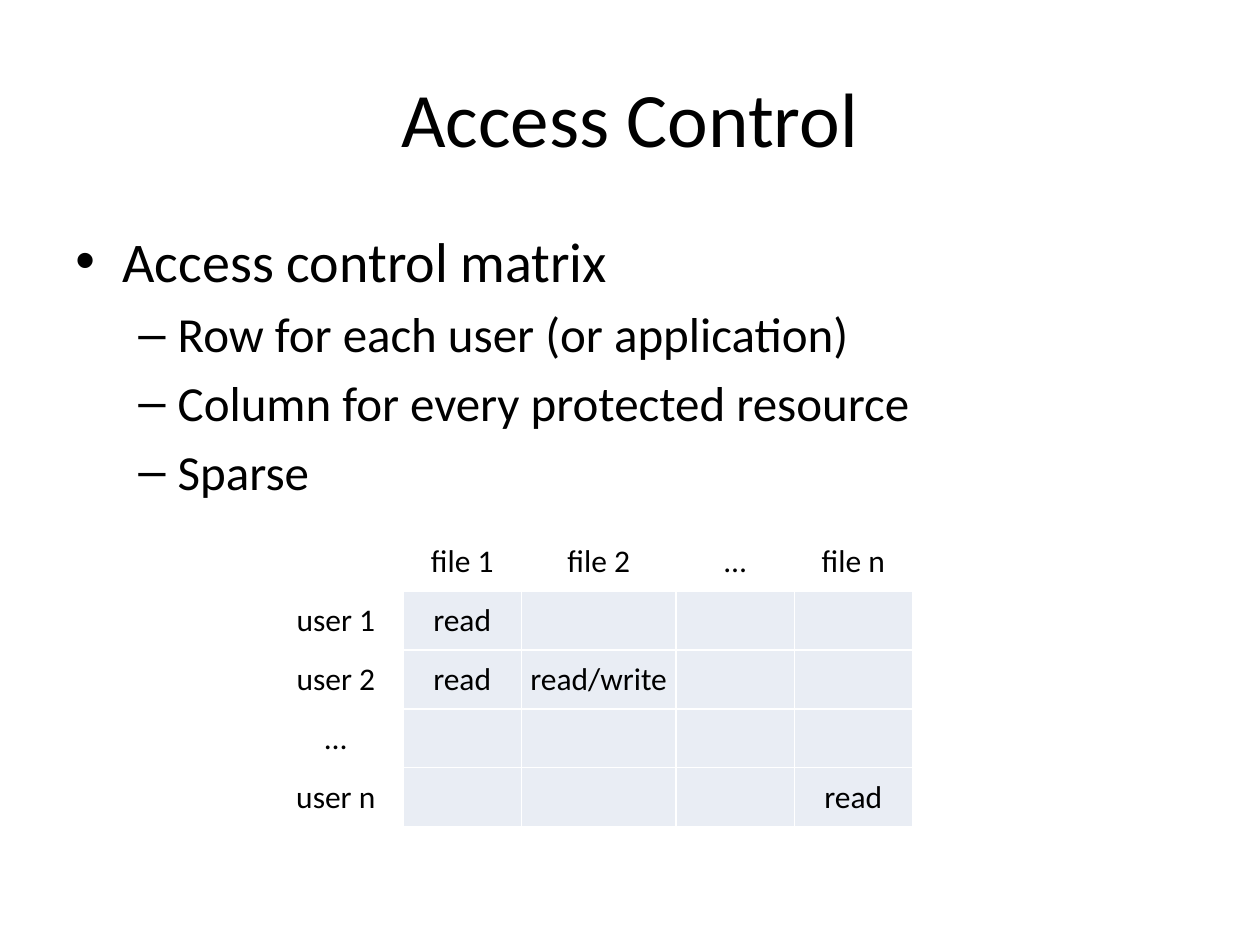
"""Build the Access Control slide with its bullets and matrix."""
from lxml import etree
from pptx import Presentation
from pptx.dml.color import RGBColor
from pptx.enum.text import MSO_ANCHOR, PP_ALIGN
from pptx.oxml.ns import qn
from pptx.util import Pt

MIDDLE = MSO_ANCHOR.MIDDLE
CENTER = PP_ALIGN.CENTER
COLORS = {"text": "000000", "cell": "E9EDF4", "line": "FFFFFF"}


def add_run(para, text, size):
    run = para.add_run()
    run.text = text
    run.font.name = "Calibri"
    run.font.size = Pt(size)
    run.font.color.rgb = RGBColor.from_string(COLORS["text"])


prs = Presentation()
prs.slide_width, prs.slide_height = Pt(720), Pt(540)
slide = prs.slides.add_slide(prs.slide_layouts[6])

title = slide.shapes.add_textbox(Pt(36), Pt(21.6), Pt(648), Pt(90)).text_frame
title.word_wrap = True
title.vertical_anchor = MIDDLE
para = title.paragraphs[0]
para.alignment = CENTER
add_run(para, "Access Control", 44)

body = slide.shapes.add_textbox(Pt(36), Pt(126), Pt(648), Pt(356.4)).text_frame
body.word_wrap = True
levels = [("•", 32, 27, 27), ("–", 28, 58.5, 22.5)]
points = [
    (0, "Access control matrix"),
    (1, "Row for each user (or application)"),
    (1, "Column for every protected resource"),
    (1, "Sparse"),
]
for i, (level, text) in enumerate(points):
    mark, size, left, hang = levels[level]
    para = body.add_paragraph() if i else body.paragraphs[0]
    para.level = level
    para.space_before = Pt(size * 0.2)
    props = para._p.get_or_add_pPr()
    props.set("marL", str(Pt(left)))
    props.set("indent", str(-Pt(hang)))
    etree.SubElement(props, qn("a:buFont"), typeface="Arial")
    etree.SubElement(props, qn("a:buChar"), char=mark)
    add_run(para, text, size)

rows = [
    ["", "file 1", "file 2", "…", "file n"],
    ["user 1", "read", "", "", ""],
    ["user 2", "read", "read/write", "", ""],
    ["…", "", "", "", ""],
    ["user n", "", "", "", "read"],
]
widths = [77, 67.5, 88.5, 67.5, 67.5]
height = 33.7
frame = slide.shapes.add_table(
    len(rows), len(widths), Pt(153.4), Pt(304), Pt(sum(widths)), Pt(height * len(rows))
)
matrix = frame.table
matrix.first_row = matrix.horz_banding = False
for col, width in zip(matrix.columns, widths):
    col.width = Pt(width)
for r, texts in enumerate(rows):
    matrix.rows[r].height = Pt(height)
    for c, text in enumerate(texts):
        cell = matrix.cell(r, c)
        cell.vertical_anchor = MIDDLE
        cell.margin_left = cell.margin_right = cell.margin_top = Pt(0.7)
        cell.margin_bottom = 0
        para = cell.text_frame.paragraphs[0]
        para.alignment = CENTER
        if text:
            add_run(para, text, 18)
        props = cell._tc.get_or_add_tcPr()
        for side in ("lnL", "lnR", "lnT", "lnB"):
            line = etree.SubElement(props, qn(f"a:{side}"), w=str(Pt(1)))
            paint = etree.SubElement(line, qn("a:solidFill"))
            etree.SubElement(paint, qn("a:srgbClr"), val=COLORS["line"])
        if r and c:
            cell.fill.solid()
            cell.fill.fore_color.rgb = RGBColor.from_string(COLORS["cell"])
        else:
            cell.fill.background()

prs.save("out.pptx")
